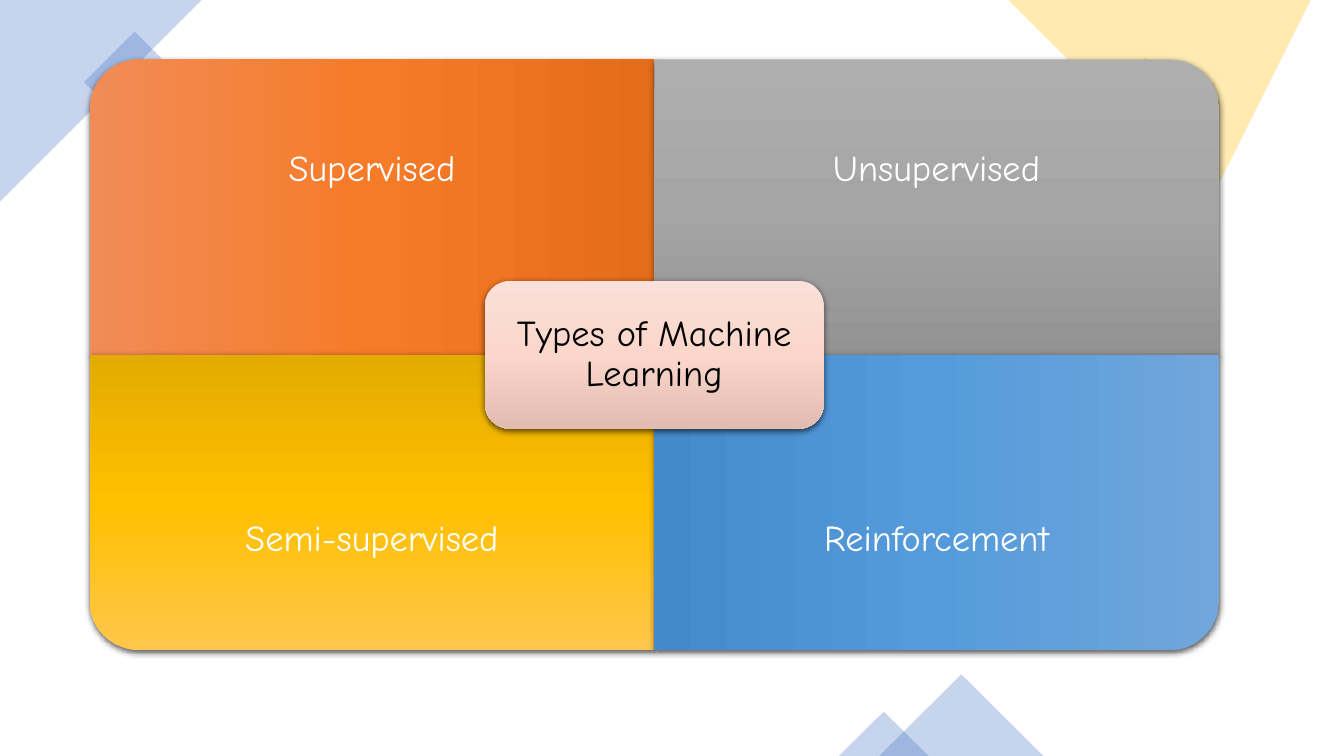
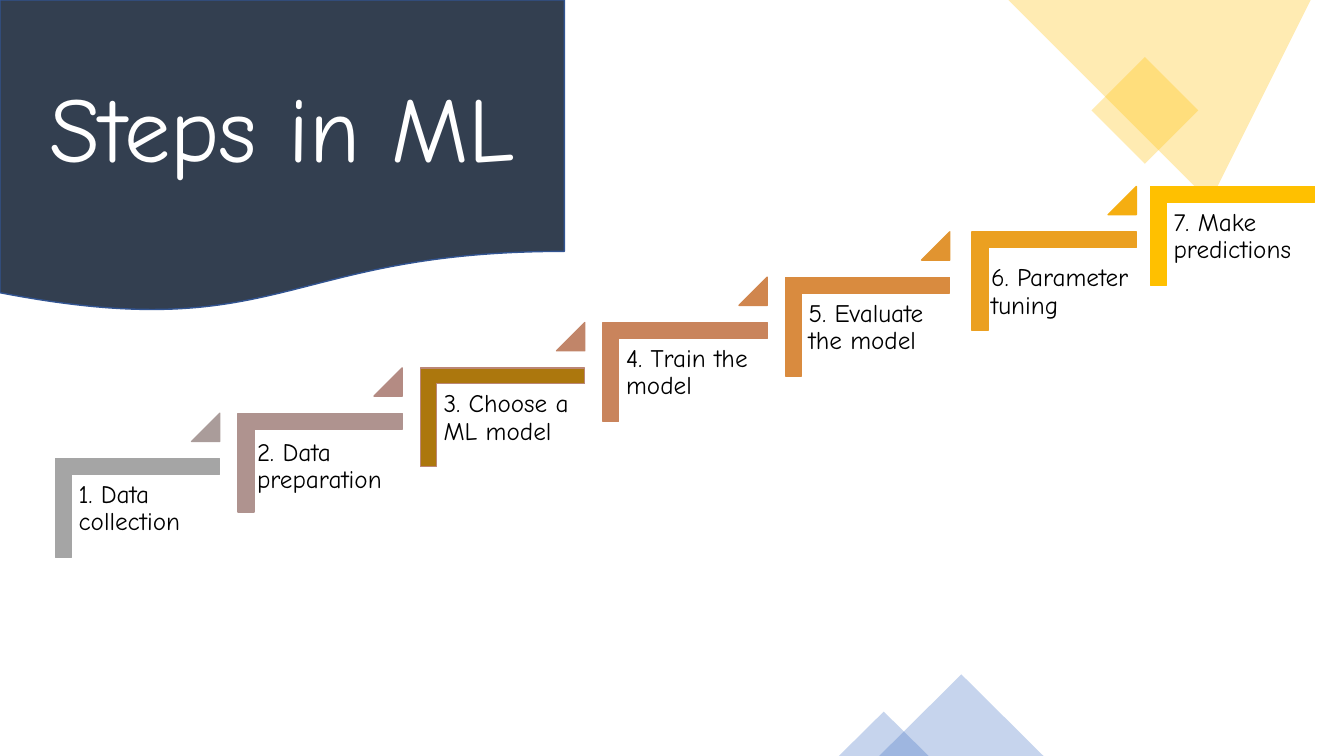
from dataclasses import dataclass

from lxml import etree
from pptx import Presentation
from pptx import util as u
from pptx.dml import color
from pptx.enum import shapes, text
from pptx.oxml import ns
from pptx.shapes import autoshape
from pptx.slide import Slide

W, H = 13.33, 7.5
FONT = "Comic Neue"
BLUE, GOLD, WHITE, BLACK = "4472C4", "FFC000", "FFFFFF", "000000"
SHAPE = shapes.MSO_SHAPE
CENTER, LEFT = text.PP_ALIGN.CENTER, text.PP_ALIGN.LEFT
MIDDLE, TOP = text.MSO_ANCHOR.MIDDLE, text.MSO_ANCHOR.TOP

Box = tuple[float, float, float, float]


@dataclass(frozen=True)
class Accent:
    kind: SHAPE
    box: Box
    fill: str
    rotation: float = 0


@dataclass(frozen=True)
class Quadrant:
    label: str
    col: int
    row: int
    rotation: int
    stops: tuple[str, str, str]


@dataclass(frozen=True)
class Step:
    label: str
    fill: str
    marker: str = ""
    line: str = ""
    shift: float = 0
    text_dx: float = 0.16
    text_dy: float = 0.16
    text_w: float = 1.47


ACCENTS = (
    Accent(SHAPE.RECTANGLE, (0.98, 0.46, 0.71, 0.71), BLUE, 45),
    Accent(SHAPE.RECTANGLE, (10.98, 0.72, 0.75, 0.75), GOLD, 45),
    Accent(SHAPE.ISOSCELES_TRIANGLE, (8.72, 6.69, 1.63, 0.81), BLUE),
    Accent(SHAPE.ISOSCELES_TRIANGLE, (8.32, 7.06, 0.89, 0.44), BLUE),
)
CORNERS = (
    (BLUE, ((0, 0), (1.53, 0), (1.83, 0.3), (0.41, 1.71), (0, 1.3))),
    (GOLD, ((10.23, 0), (W, 0), (W, 0.28), (11.93, 1.62))),
)

QUADRANTS = (
    Quadrant("Supervised", 0, 0, 270, ("F18C57", "F67B28", "E56C19")),
    Quadrant("Unsupervised", 1, 0, 0, ("AFAFAF", "A5A5A5", "939393")),
    Quadrant("Semi-supervised", 0, 1, 180, ("FFC64B", "FFC000", "E3AB00")),
    Quadrant("Reinforcement", 1, 1, 90, ("71A6DB", "559BDB", "448ACA")),
)
GRID_X, GRID_Y, COL, ROW = 0.89, 0.59, 5.6, 2.93

STEPS = (
    Step("1. Data collection", "A5A5A5", "AA9C9A"),
    Step("2. Data preparation", "AF938F", "B48B83",
         text_dx=0.12, text_dy=0.19, text_w=1.64),
    Step("3. Choose a ML model", "AC770D", "C18569", line="BB8676"),
    Step("4. Train the model", "C9845C", "D0864E"),
    Step("5. Evaluate the model", "D98B3F", "E19430"),
    Step("6. Parameter tuning", "EBA021", "F5AE11", shift=0.04,
         text_dx=0.12, text_dy=0.26, text_w=1.88),
    Step("7. Make predictions", "FFC000"),
)
STEP_X, STEP_Y, RUN, RISE = 0.55, 4.55, 1.81, 0.45
STEP_W, STEP_H, MARKER = 1.63, 0.98, 0.28


def rgb(value: str) -> color.RGBColor:
    return color.RGBColor.from_string(value)


def paint(sp: autoshape.Shape, fill: str, line: str = "", alpha: int = 100) -> None:
    sp.shadow.inherit = False
    sp.fill.solid()
    sp.fill.fore_color.rgb = rgb(fill)
    if alpha < 100:
        clr = sp.element.spPr.find(f"{ns.qn('a:solidFill')}/{ns.qn('a:srgbClr')}")
        etree.SubElement(clr, ns.qn("a:alpha"), val=str(alpha * 1000))
    if line:
        sp.line.color.rgb = rgb(line)
        sp.line.width = u.Pt(1)
    else:
        sp.line.fill.background()


def add_shape(s: Slide, kind: SHAPE, box: Box, rotation: float = 0) -> autoshape.Shape:
    x, y, w, h = box
    if rotation in (90, 270):
        x, y, w, h = x + (w - h) / 2, y + (h - w) / 2, h, w
    sp = s.shapes.add_shape(kind, *map(u.Inches, (x, y, w, h)))
    sp.rotation = rotation
    return sp


def shade(sp: autoshape.Shape, stops: tuple[str, str, str]) -> None:
    paint(sp, stops[1])
    sp.fill.gradient()
    sp.fill.gradient_angle = 270
    pr = sp.element.spPr
    gs_list = pr.find(f"{ns.qn('a:gradFill')}/{ns.qn('a:gsLst')}")
    for gs in list(gs_list):
        gs_list.remove(gs)
    for i, stop in enumerate(stops):
        gs = etree.SubElement(gs_list, ns.qn("a:gs"), pos=str(i * 50000))
        etree.SubElement(gs, ns.qn("a:srgbClr"), val=stop)
    shadow = etree.SubElement(
        pr.find(ns.qn("a:effectLst")), ns.qn("a:outerShdw"),
        blurRad=str(u.Pt(4.5)), dist=str(u.Pt(1.5)), dir="5400000",
        algn="ctr", rotWithShape="0")
    clr = etree.SubElement(shadow, ns.qn("a:srgbClr"), val=BLACK)
    etree.SubElement(clr, ns.qn("a:alpha"), val="63000")


def write(sp: autoshape.Shape, label: str, size: int, ink: str,
          inset: float = 0.1, align: text.PP_ALIGN = CENTER,
          anchor: text.MSO_ANCHOR = MIDDLE, spacing: float = 0.9) -> None:
    tf = sp.text_frame
    tf.word_wrap = True
    tf.vertical_anchor = anchor
    tf.margin_left = tf.margin_right = u.Inches(inset)
    tf.margin_top = tf.margin_bottom = u.Inches(inset)
    p = tf.paragraphs[0]
    p.alignment = align
    p.line_spacing = spacing
    r = p.add_run()
    r.text = label
    r.font.name = FONT
    r.font.size = u.Pt(size)
    r.font.color.rgb = rgb(ink)


def add_text(s: Slide, box: Box) -> autoshape.Shape:
    return s.shapes.add_textbox(*map(u.Inches, box))


def new_slide(prs: Presentation) -> Slide:
    s = prs.slides.add_slide(prs.slide_layouts[6])
    for fill, points in CORNERS:
        outline = s.shapes.build_freeform(*points[0], scale=float(u.Inches(1)))
        outline.add_line_segments(points[1:], close=True)
        paint(outline.convert_to_shape(), fill, alpha=30)
    for a in ACCENTS:
        paint(add_shape(s, a.kind, a.box, a.rotation), a.fill, alpha=30)
    return s


def types_slide(prs: Presentation) -> None:
    s = new_slide(prs)
    for q in QUADRANTS:
        x, y = GRID_X + q.col * COL, GRID_Y + q.row * ROW
        shade(add_shape(s, SHAPE.ROUND_1_RECTANGLE, (x, y, COL, ROW), q.rotation), q.stops)
        label = add_text(s, (x, y + q.row * ROW / 4, COL, ROW * 3 / 4))
        write(label, q.label, 26, WHITE, inset=0.2)
    w, h = COL * 0.6, ROW / 2
    hub = add_shape(s, SHAPE.ROUNDED_RECTANGLE,
                    (GRID_X + COL - w / 2, GRID_Y + ROW - h / 2, w, h))
    shade(hub, ("FAE0D8", "FAD6CB", "E2BCB1"))
    write(hub, "Types of Machine Learning", 26, BLACK)


def steps_slide(prs: Presentation) -> None:
    s = new_slide(prs)
    for i, step in enumerate(STEPS):
        x, y = STEP_X + i * RUN + step.shift, STEP_Y - i * RISE
        sp = add_shape(s, SHAPE.CORNER, (x, y, STEP_W, STEP_H), 90)
        sp.adjustments[0] = sp.adjustments[1] = 0.16
        paint(sp, step.fill, step.line or step.fill)
        label = add_text(s, (x + step.text_dx, y + step.text_dy, step.text_w, 1.29))
        write(label, step.label, 18, BLACK, inset=0.07, align=LEFT, anchor=TOP)
        if step.marker:
            sp = add_shape(s, SHAPE.ISOSCELES_TRIANGLE,
                           (x + STEP_W - MARKER, y - RISE, MARKER, MARKER))
            sp.adjustments[0] = 1
            paint(sp, step.marker, step.marker)
    title = add_shape(s, SHAPE.FLOWCHART_DOCUMENT, (0, 0, W * 0.42, 3.11))
    paint(title, "333F50", "325491")
    write(title, "Steps in ML", 66, WHITE, spacing=1.0)


def main() -> None:
    prs = Presentation()
    prs.slide_width, prs.slide_height = u.Inches(W), u.Inches(H)
    types_slide(prs)
    steps_slide(prs)
    prs.save("out.pptx")


if __name__ == "__main__":
    main()
